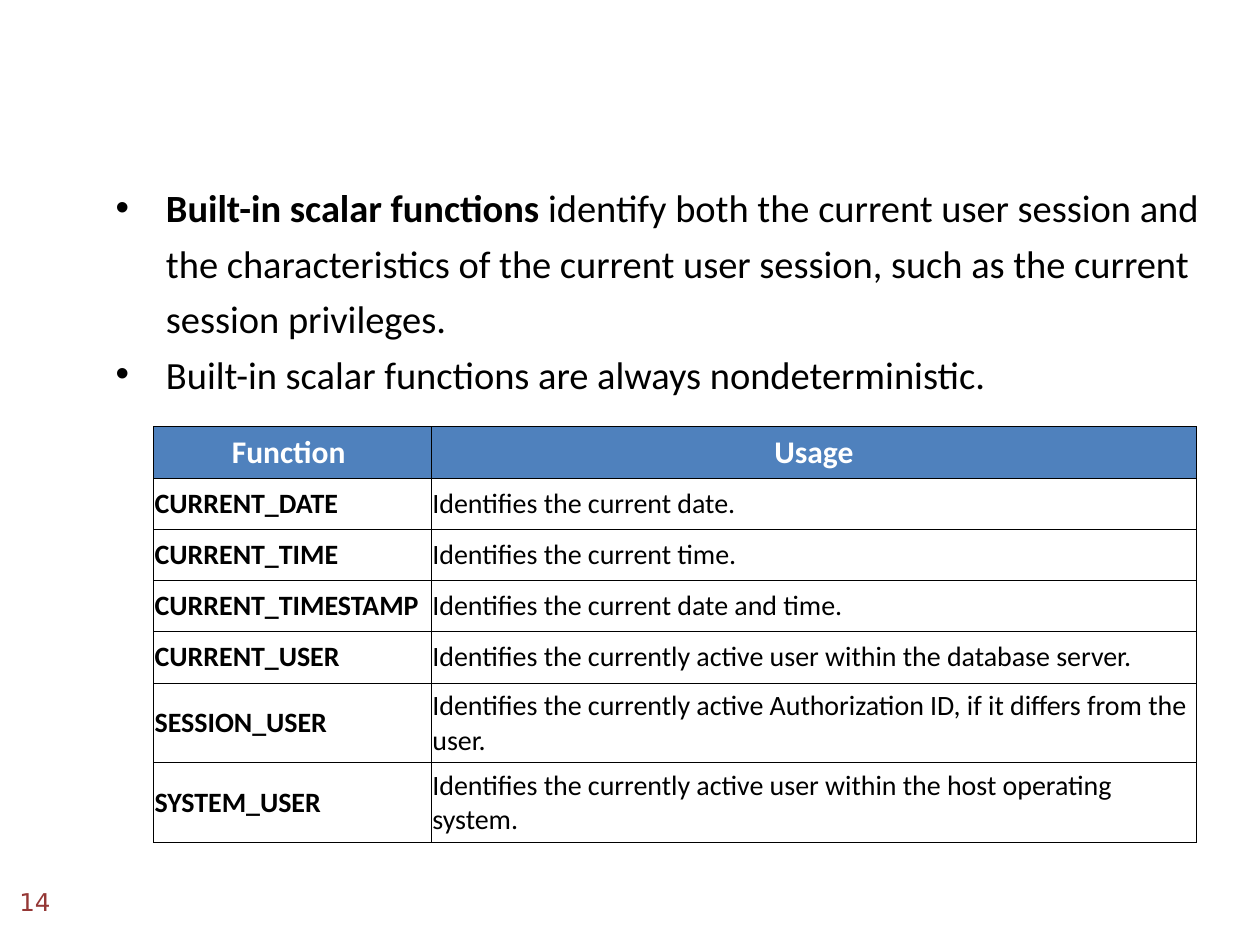
from dataclasses import dataclass

from lxml import etree
from pptx import Presentation
from pptx import util as u
from pptx.dml.color import RGBColor
from pptx.enum import text
from pptx.oxml.ns import qn


@dataclass(frozen=True)
class Theme:
    body_font: str = "Calibri"
    number_font: str = "DejaVu Sans"
    ink: str = "000000"
    header_ink: str = "FFFFFF"
    header_fill: str = "4F81BD"
    number_ink: str = "953735"
    body_size: float = 22
    header_size: float = 18
    cell_size: float = 16
    number_size: float = 14
    border_width: float = 0.45


class SlideBuilder:
    """Draws themed elements on one slide, with all lengths in points."""

    def __init__(self, presentation, theme):
        self.theme = theme
        self.slide = presentation.slides.add_slide(presentation.slide_layouts[6])

    def text_box(self, left, top, width, height, anchor):
        shape = self.slide.shapes.add_textbox(*map(u.Pt, (left, top, width, height)))
        frame = shape.text_frame
        frame.word_wrap = True
        frame.vertical_anchor = anchor
        return frame

    def run(self, paragraph, words, size, color, bold=False, font=None):
        run = paragraph.add_run()
        run.text = words
        run.font.name = font or self.theme.body_font
        run.font.size = u.Pt(size)
        run.font.bold = bold
        run.font.color.rgb = RGBColor.from_string(color)

    def bullets(self, left, top, width, height, items):
        frame = self.text_box(left, top, width, height, text.MSO_ANCHOR.TOP)
        for index, runs in enumerate(items):
            paragraph = frame.add_paragraph() if index else frame.paragraphs[0]
            paragraph.line_spacing = 1.2
            properties = paragraph._p.get_or_add_pPr()
            properties.set("marL", str(u.Pt(57.6)))
            properties.set("indent", str(u.Pt(-28.8)))
            color = etree.SubElement(properties, qn("a:buClr"))
            etree.SubElement(color, qn("a:srgbClr"), val=self.theme.ink)
            etree.SubElement(properties, qn("a:buFont"), typeface="Arial")
            etree.SubElement(properties, qn("a:buChar"), char="•")
            for words, bold in runs:
                self.run(paragraph, words, self.theme.body_size, self.theme.ink, bold)

    def page_number(self, left, top, width, height, number):
        frame = self.text_box(left, top, width, height, text.MSO_ANCHOR.MIDDLE)
        paragraph = frame.paragraphs[0]
        paragraph.alignment = text.PP_ALIGN.RIGHT
        self.run(paragraph, number, self.theme.number_size, self.theme.number_ink,
                 font=self.theme.number_font)

    def borders(self, cell):
        properties = cell._tc.get_or_add_tcPr()
        for index, side in enumerate(("lnL", "lnR", "lnT", "lnB")):
            line = etree.Element(qn(f"a:{side}"), w=str(u.Pt(self.theme.border_width)))
            fill = etree.SubElement(line, qn("a:solidFill"))
            etree.SubElement(fill, qn("a:srgbClr"), val=self.theme.ink)
            properties.insert(index, line)

    def cell(self, cell, words, header, bold):
        cell.margin_left = cell.margin_right = u.Pt(0.72)
        cell.margin_top = cell.margin_bottom = u.Pt(3.6)
        cell.vertical_anchor = text.MSO_ANCHOR.MIDDLE
        paragraph = cell.text_frame.paragraphs[0]
        if header:
            cell.fill.solid()
            cell.fill.fore_color.rgb = RGBColor.from_string(self.theme.header_fill)
            paragraph.alignment = text.PP_ALIGN.CENTER
            self.run(paragraph, words, self.theme.header_size, self.theme.header_ink, bold)
        else:
            cell.fill.background()
            self.run(paragraph, words, self.theme.cell_size, self.theme.ink, bold)
        self.borders(cell)

    def table(self, left, top, widths, heights, rows):
        frame = self.slide.shapes.add_table(
            len(rows), len(widths),
            *map(u.Pt, (left, top, sum(widths), sum(heights))))
        table = frame.table
        table.first_row = table.horz_banding = False
        for column, width in zip(table.columns, widths):
            column.width = u.Pt(width)
        for row, height in zip(table.rows, heights):
            row.height = u.Pt(height)
        for row_index, row in enumerate(rows):
            for column_index, words in enumerate(row):
                header = row_index == 0
                self.cell(table.cell(row_index, column_index), words, header,
                          header or column_index == 0)


def main():
    presentation = Presentation()
    presentation.slide_width, presentation.slide_height = u.Pt(720), u.Pt(540)
    builder = SlideBuilder(presentation, Theme())
    builder.bullets(30.2, 96.5, 684, 389.5, [
        [("Built-in scalar functions ", True),
         ("identify both the current user session and the characteristics of the "
          "current user session, such as the current session privileges.", False)],
        [("Built-in scalar functions are always nondeterministic.", False)],
    ])
    builder.page_number(0, 504.7, 36, 21.6, "14")
    builder.table(87.7, 243.8, [158.7, 437.4], [29.3] * 5 + [38.9] * 2, [
        ("Function ", "Usage"),
        ("CURRENT_DATE", "Identifies the current date."),
        ("CURRENT_TIME", "Identifies the current time."),
        ("CURRENT_TIMESTAMP", "Identifies the current date and time."),
        ("CURRENT_USER",
         "Identifies the currently active user within the database server."),
        ("SESSION_USER",
         "Identifies the currently active Authorization ID, if it differs from the user."),
        ("SYSTEM_USER",
         "Identifies the currently active user within the host operating system."),
    ])
    presentation.save("out.pptx")


if __name__ == "__main__":
    main()
